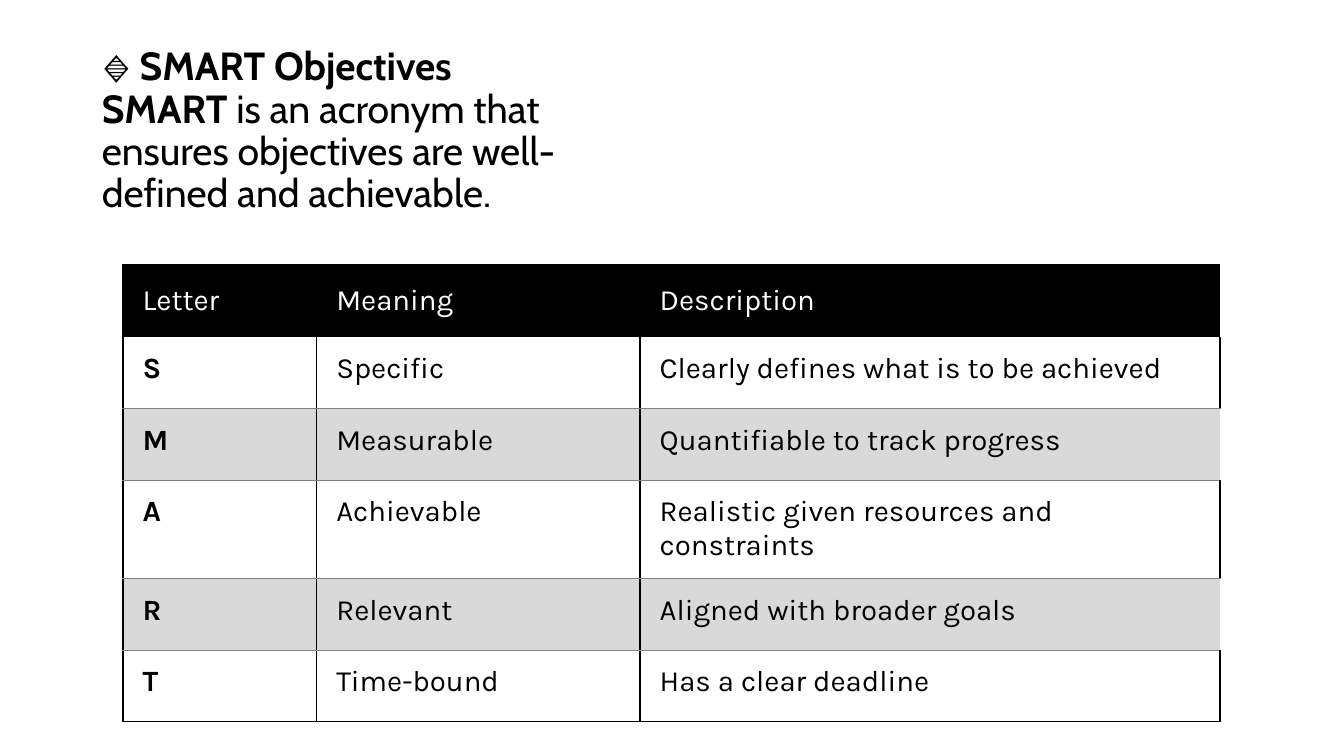
from lxml import etree
from pptx import Presentation
from pptx.dml.color import RGBColor
from pptx.enum.text import MSO_ANCHOR, MSO_AUTO_SIZE, PP_ALIGN
from pptx.oxml.ns import qn
from pptx.util import Pt

TOP, MIDDLE = MSO_ANCHOR.TOP, MSO_ANCHOR.MIDDLE
LEFT = PP_ALIGN.LEFT
NO_FIT = MSO_AUTO_SIZE.NONE
TITLE_ONLY = 5
PLAIN_TABLE_STYLE = "{2D5ABB26-0587-4C30-8999-92F81FD0307C}"
COLORS = {"ink": "000000", "paper": "FFFFFF", "band": "D9D9D9", "rule": "808080"}

HEADING = [
    [("🔹 SMART Objectives", True)],
    [("SMART", True),
     ("\u00a0is an acronym that ensures objectives are well-defined and achievable.", False)],
]
ROWS = [
    ("Letter", "Meaning", "Description"),
    ("S", "Specific", "Clearly defines what is to be achieved"),
    ("M", "Measurable", "Quantifiable to track progress"),
    ("A", "Achievable", "Realistic given resources and constraints"),
    ("R", "Relevant", "Aligned with broader goals"),
    ("T", "Time-bound", "Has a clear deadline"),
]
COLUMN_WIDTHS = (138.25, 231, 414.5)
BLACK_LINE, GRAY_LINE = ("ink", 1.5), ("rule", 0.5)


def set_all(target, values):
    """Set every attribute in a dict of format values."""
    for name, value in values.items():
        setattr(target, name, value)


def add_span(para, text, font_name, size, color, bold):
    """Add one formatted run of text to a paragraph."""
    span = para.add_run()
    span.text = text
    set_all(span.font, {"name": font_name, "size": Pt(size), "bold": bold})
    span.font.color.rgb = RGBColor.from_string(COLORS[color])


def add_heading(page, left, top, width, height):
    """Place the title and its definition in the title placeholder."""
    box = page.shapes.title
    set_all(box, {"left": Pt(left), "top": Pt(top), "width": Pt(width), "height": Pt(height)})
    frame = box.text_frame
    set_all(frame, {"word_wrap": True, "auto_size": NO_FIT, "vertical_anchor": MIDDLE,
                    "margin_bottom": Pt(34)})
    for index, spans in enumerate(HEADING):
        para = frame.add_paragraph() if index else frame.paragraphs[0]
        set_all(para, {"alignment": LEFT, "line_spacing": 0.9, "space_before": Pt(0)})
        for text, bold in spans:
            add_span(para, text, "Cabin", 28, "ink", bold)


def cell_borders(row, column):
    """Return the border lines of a cell by its place in the table."""
    last_column = column == len(COLUMN_WIDTHS) - 1
    if row == 0:
        return {"L": BLACK_LINE, "T": BLACK_LINE} if column == 0 else {"T": BLACK_LINE}
    if row % 2 == 0:
        sides = {"L": BLACK_LINE, "T": GRAY_LINE}
        return sides if last_column else {**sides, "R": BLACK_LINE}
    bottom = BLACK_LINE if row == len(ROWS) - 1 else GRAY_LINE
    return {"L": BLACK_LINE, "R": BLACK_LINE, "B": bottom}


def draw_borders(cell, borders):
    """Write the given border lines into a cell in schema order."""
    properties = cell._tc.get_or_add_tcPr()
    for side in "LRTB":
        if side in borders:
            color, width = borders[side]
            line = etree.SubElement(properties, qn(f"a:ln{side}"), w=str(Pt(width)))
            fill = etree.SubElement(line, qn("a:solidFill"))
            etree.SubElement(fill, qn("a:srgbClr"), val=COLORS[color])


def fill_cell(cell, row, column, text):
    """Format one cell and write its text."""
    header = row == 0
    draw_borders(cell, cell_borders(row, column))
    if header or row % 2 == 0:
        cell.fill.solid()
        cell.fill.fore_color.rgb = RGBColor.from_string(COLORS["ink" if header else "band"])
    else:
        cell.fill.background()
    set_all(cell, {"margin_left": Pt(14.2), "margin_right": Pt(5.7), "margin_top": Pt(10.7),
                   "margin_bottom": Pt(10.7), "vertical_anchor": MIDDLE if header else TOP})
    add_span(cell.text_frame.paragraphs[0], text, "Karla", 21,
             "paper" if header else "ink", column == 0 and not header)


def add_smart_table(page, left, top, width, height):
    """Place the table of SMART letters with their meanings."""
    box = page.shapes.add_table(len(ROWS), len(COLUMN_WIDTHS),
                                Pt(left), Pt(top), Pt(width), Pt(height))
    table = box.table
    table._tbl.tblPr.find(qn("a:tableStyleId")).text = PLAIN_TABLE_STYLE
    for column, share in zip(table.columns, COLUMN_WIDTHS):
        column.width = Pt(width * share / sum(COLUMN_WIDTHS))
    for row, texts in enumerate(ROWS):
        table.rows[row].height = Pt(height / len(ROWS))
        for column, text in enumerate(texts):
            fill_cell(table.cell(row, column), row, column, text)


def main():
    """Build the deck and save it."""
    deck = Presentation()
    set_all(deck, {"slide_width": Pt(960), "slide_height": Pt(540)})
    page = deck.slides.add_slide(deck.slide_layouts[TITLE_ONLY])
    page.background.fill.solid()
    page.background.fill.fore_color.rgb = RGBColor.from_string(COLORS["paper"])
    add_heading(page, 65.5, 43.2, 406.8, 131.8)
    add_smart_table(page, 87.8, 189.4, 783.75, 306.7)
    deck.save("out.pptx")


if __name__ == "__main__":
    main()
